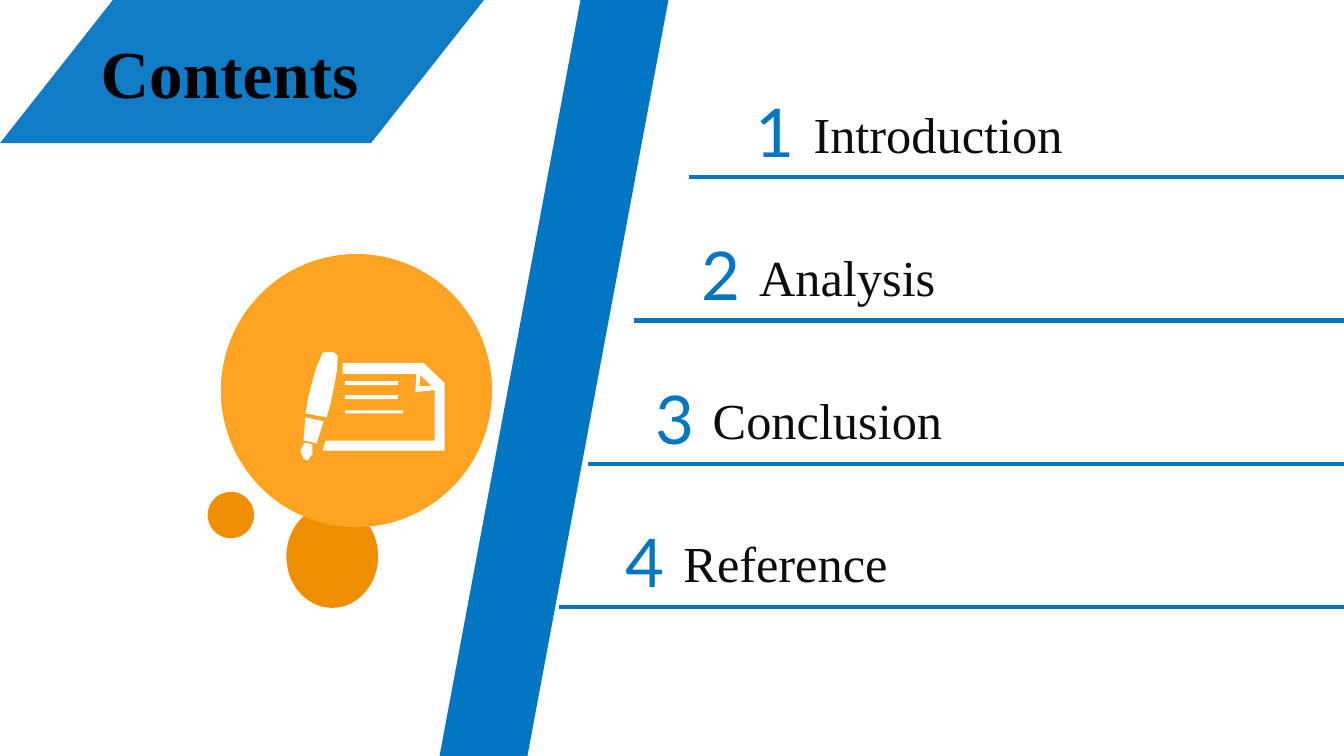
from pptx import Presentation
from pptx.util import Inches, Pt
from pptx.dml.color import RGBColor
from pptx.enum.shapes import MSO_SHAPE as Kind, MSO_CONNECTOR as Link
from pptx.enum.text import MSO_AUTO_SIZE as Fit
from pptx.oxml.ns import qn
from lxml.etree import SubElement as Sub

THEME = {
    "blue": "0376C2", "gold": "FFA422", "amber": "EE8E00", "white": "FFFFFF",
    "title": {"size": Pt(48), "name": "Times New Roman", "bold": True, "color": "000000"},
    "digit": {"size": Pt(48), "name": "Lato", "color": "0376C2"},
    "label": {"size": Pt(36), "name": "Times New Roman", "color": "0D0D0D"},
    "rule": Pt(3),
}
WIDE, HIGH = 13.33, 7.5

TITLE = "Contents"
ITEMS = [("Introduction", 6.83), ("Analysis", 6.29), ("Conclusion", 5.83), ("Reference", 5.54)]
TOP, STEP = 1.76, 1.42

BANNER = [[(1.12, 0), (4.8, 0), (3.68, 1.42), (0, 1.42)]]
BARREL = [(3.2, 3.5), (3.24, 3.49), (3.29, 3.49), (3.32, 3.5), (3.35, 3.53), (3.34, 3.69),
          (3.31, 3.85), (3.28, 4), (3.24, 4.14), (3.13, 4.12), (3.03, 4.1), (3.06, 3.93),
          (3.1, 3.78), (3.14, 3.64)]
GRIP = [(3.03, 4.14), (3.01, 4.37), (3.07, 4.38), (3.14, 4.4), (3.21, 4.18), (3.12, 4.16)]
NIB = [(3.02, 4.39), (3.1, 4.41), (3.1, 4.5), (3.05, 4.57), (3.01, 4.55), (2.98, 4.47)]
PAGE = [(3.23, 4.37), (3.2, 4.47), (4.41, 4.47), (4.41, 3.8), (4.2, 3.6), (3.4, 3.6),
        (3.4, 3.71), (4.13, 3.71), (4.12, 3.89), (4.31, 3.87), (4.31, 4.37)]
FOLD = [(4.28, 3.83), (4.16, 3.83), (4.17, 3.72)]
LINES = [(3.78, 3.95, 0.04), (3.92, 3.95, 0.04), (4.07, 4, 0.03)]
ICON = [BARREL, PAGE, FOLD, GRIP, NIB] + [
    [(3.42, y), (end, y), (end, y + thick), (3.42, y + thick)] for y, end, thick in LINES]

deck = Presentation()
deck.slide_width, deck.slide_height = Inches(WIDE), Inches(HIGH)
slide = deck.slides.add_slide(deck.slide_layouts[6])
shapes = slide.shapes


def paint(shape, color):
    shape.shadow.inherit = False
    shape.fill.solid()
    shape.fill.fore_color.rgb = RGBColor.from_string(color)
    shape.line.fill.background()
    return shape


def preset(kind, box, color):
    return paint(shapes.add_shape(kind, *map(Inches, box)), color)


def outline(paths, color):
    paths = [[(Inches(x), Inches(y)) for x, y in path] for path in paths]
    form = shapes.build_freeform(*paths[0][0])
    form.add_line_segments(paths[0][1:])
    for path in paths[1:]:
        form.move_to(*path[0])
        form.add_line_segments(path[1:])
    return paint(form.convert_to_shape(), color)


def write(home, text, box, style, wrap=False):
    frame = home.add_textbox(*map(Inches, box)).text_frame
    frame.word_wrap = wrap
    frame.auto_size = Fit.SHAPE_TO_FIT_TEXT
    run = frame.paragraphs[0].add_run()
    run.text = text
    for key, value in style.items():
        if key == "color":
            run.font.color.rgb = RGBColor.from_string(value)
        else:
            setattr(run.font, key, value)


def rule(left, y):
    line = shapes.add_connector(Link.STRAIGHT, Inches(left), Inches(y), Inches(WIDE), Inches(y))
    line.line.color.rgb = RGBColor.from_string(THEME["blue"])
    line.line.width = THEME["rule"]
    Sub(line._element.spPr, qn("a:effectLst"))


preset(Kind.OVAL, (2.84, 5.01, 0.91, 1.02), THEME["amber"])
preset(Kind.OVAL, (2.19, 2.52, 2.69, 2.71), THEME["gold"])
outline(ICON, THEME["white"])
banner = outline(BANNER, THEME["blue"])
tint = banner._element.spPr.find(qn("a:solidFill"))[0]
Sub(tint, qn("a:alpha"), val="95000")
band = preset(Kind.PARALLELOGRAM, (4.36, 0, 2.27, HIGH), THEME["blue"])
band.adjustments[0] = 0.616
write(shapes, TITLE, (0.9, 0.26, 2.78, 0.91), THEME["title"])

for row, (label, left) in enumerate(ITEMS):
    y = TOP + row * STEP
    rule(left, y)
    group = shapes.add_group_shape().shapes
    write(group, str(row + 1), (left + 0.57, y - 0.91, 0.56, 0.91), THEME["digit"])
    write(group, label, (left + 1.14, y - 0.79, 3.71, 0.71), THEME["label"], True)

preset(Kind.OVAL, (2.06, 4.88, 0.46, 0.46), THEME["amber"])

deck.save("out.pptx")
